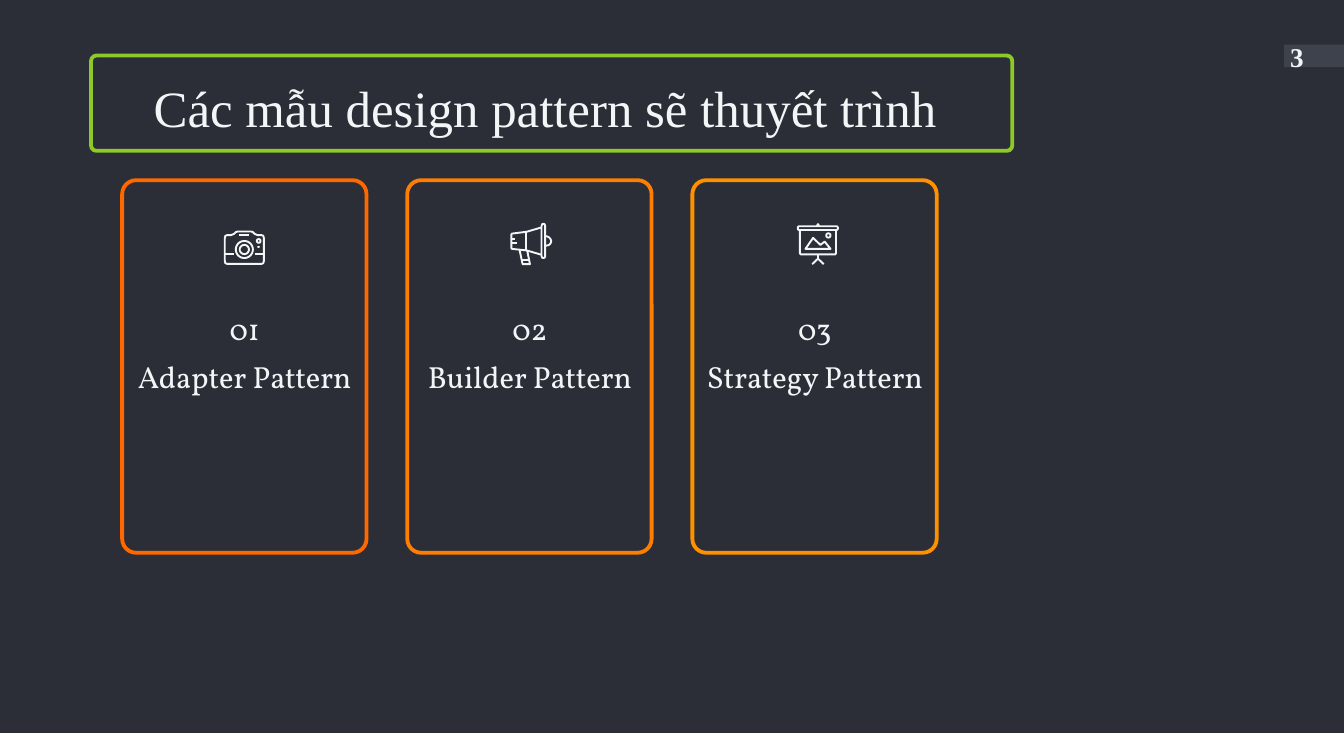
import math
import pptx
import pptx.dml.color
import pptx.enum.shapes
import pptx.enum.text
import pptx.util

SLIDE_WIDTH, SLIDE_HEIGHT = 22, 12
BACKGROUND, TAG_FILL, LIGHT, GREEN = "2B2E36", "3D424D", "F2F6F7", "8DC928"
SERIF, BODY = "Times New Roman", "Vollkorn"

TITLE = "Các mẫu design pattern sẽ thuyết trình"
PAGE_NUMBER = "3"


def circle(center_x, center_y, radius, steps=32):
    """Closed contour approximating a circle."""
    angles = [2 * math.pi * step / steps for step in range(steps)]
    return True, [(center_x + radius * math.cos(angle),
                   center_y + radius * math.sin(angle)) for angle in angles]


# Icon contours: (closed, points), in hundredths of an inch from the icon corner.
CAMERA = [
    (True, [(2, 25), (3, 21), (6, 20), (12, 20), (17, 18), (20, 15), (23, 14),
            (45, 14), (48, 15), (51, 18), (56, 20), (62, 20), (65, 21), (66, 25),
            (66, 62), (65, 66), (62, 67), (6, 67), (3, 66), (2, 62)]),
    (False, [(26, 20), (42, 20)]),
    (False, [(2, 51.5), (17, 51.5)]),
    (False, [(51, 51.5), (66, 51.5)]),
    circle(34, 43.5, 14),
    circle(34, 43.5, 7.5),
    circle(57.5, 29.5, 3),
    circle(57.5, 39, 0.4),
]
MEGAPHONE = [
    (True, [(51.5, 5), (52.5, 2), (54.5, 1.5), (56.5, 2), (57.5, 5),
            (57.5, 54), (56.5, 57), (54.5, 57.5), (52.5, 57), (51.5, 54)]),
    (False, [(51, 7.5), (27, 14.5), (3, 17.5), (2, 19), (2, 41),
             (3, 42.5), (27, 45), (51, 52)]),
    (False, [(26.5, 14.5), (26.5, 45)]),
    (False, [(2, 26.5), (8, 26.5)]),
    (False, [(2, 32.5), (12, 32.5)]),
    (False, [(15.5, 44), (20.5, 67.5), (32.5, 67.5), (28, 45)]),
    (False, [(19, 60.5), (31, 60.5)]),
    (False, [(58, 21.5), (63, 23), (66, 26), (67.5, 30), (66, 34), (63, 36.5), (58, 37.5)]),
]
BOARD = [
    (True, [(3.5, 5.5), (66, 5.5), (67.5, 7), (67.5, 10), (66, 11.5),
            (3.5, 11.5), (2, 10), (2, 7)]),
    (False, [(5.5, 11.5), (5.5, 50), (7, 51.5), (63, 51.5), (64.5, 50), (64.5, 11.5)]),
    (False, [(33, 5), (35, 2), (37, 5)]),
    (False, [(35, 51.5), (35, 58.5)]),
    (False, [(25.5, 67.5), (35, 58.5), (44.5, 67.5)]),
    (True, [(14.5, 42.5), (27, 24.5), (39, 36), (46, 30.5), (55.5, 42.5)]),
    circle(52, 20.5, 3.5),
]

CARDS = [
    ("01", "Adapter Pattern", "FF6800", CAMERA),
    ("02", "Builder Pattern", "FF7D00", MEGAPHONE),
    ("03", "Strategy Pattern", "FF9100", BOARD),
]
CARD_LEFT, CARD_TOP, CARD_WIDTH, CARD_HEIGHT = 2, 2.95, 4, 6.1
CARD_PITCH = CARD_WIDTH + 2 / 3
ICON_LEFT, ICON_TOP, ICON_PITCH = 3.66, 3.65, 4.69
CORNER = 0.057


def color(hex_value):
    return pptx.dml.color.RGBColor.from_string(hex_value)


def inches(*lengths):
    return [pptx.util.Inches(length) for length in lengths]


def outline(shape, hex_value, points):
    shape.fill.background()
    shape.line.color.rgb = color(hex_value)
    shape.line.width = pptx.util.Pt(points)
    shape.shadow.inherit = False


def add_frame(slide, box, hex_value):
    frame = slide.shapes.add_shape(
        pptx.enum.shapes.MSO_SHAPE.ROUNDED_RECTANGLE, *inches(*box))
    frame.adjustments[0] = CORNER
    outline(frame, hex_value, 4.5)


def add_text(slide, box, text, font, size, centered=True, bold=False):
    text_frame = slide.shapes.add_textbox(*inches(*box)).text_frame
    text_frame.word_wrap = True
    text_frame.text = text
    if not centered:
        text_frame.vertical_anchor = pptx.enum.text.MSO_ANCHOR.MIDDLE
    for paragraph in text_frame.paragraphs:
        if centered:
            paragraph.alignment = pptx.enum.text.PP_ALIGN.CENTER
            paragraph.line_spacing = 1.3
        for run in paragraph.runs:
            run.font.name = font
            run.font.size = pptx.util.Pt(size)
            run.font.bold = bold
            run.font.color.rgb = color(LIGHT)


def add_icon(slide, left, top, contours):
    """Draw all contours as one unfilled freeform, on a grid of 1/1000 inch."""
    builder = None
    for closed, points in contours:
        start, *rest = [(x * 10, y * 10) for x, y in points]
        if builder is None:
            builder = slide.shapes.build_freeform(*start, scale=914.4)
        else:
            builder.move_to(*start)
        builder.add_line_segments(rest, close=closed)
    outline(builder.convert_to_shape(*inches(left, top)), LIGHT, 2.25)


def main():
    presentation = pptx.Presentation()
    presentation.slide_width, presentation.slide_height = inches(SLIDE_WIDTH, SLIDE_HEIGHT)
    slide = presentation.slides.add_slide(presentation.slide_layouts[6])
    slide.background.fill.solid()
    slide.background.fill.fore_color.rgb = color(BACKGROUND)

    tag_left, tag_width = SLIDE_WIDTH - 0.98, 0.98
    tag = slide.shapes.add_shape(
        pptx.enum.shapes.MSO_SHAPE.RECTANGLE, *inches(tag_left, 0.73, tag_width, 0.37))
    tag.fill.solid()
    tag.fill.fore_color.rgb = color(TAG_FILL)
    tag.line.fill.background()
    tag.shadow.inherit = False

    for index, (number, name, accent, icon) in enumerate(CARDS):
        left = CARD_LEFT + index * CARD_PITCH
        add_text(slide, (left + 0.03, 4.85, 3.95, 1.68), f"{number}\n{name}", BODY, 36)
        add_frame(slide, (left, CARD_TOP, CARD_WIDTH, CARD_HEIGHT), accent)
        add_icon(slide, ICON_LEFT + index * ICON_PITCH, ICON_TOP, icon)

    add_text(slide, (2.03, 0.91, 13.79, 1.41), TITLE, SERIF, 60)
    add_frame(slide, (1.49, 0.91, 15.08, 1.56), GREEN)
    add_text(slide, (tag_left, 0.6, tag_width, 0.64), PAGE_NUMBER, SERIF, 32,
             centered=False, bold=True)
    presentation.save("out.pptx")


if __name__ == "__main__":
    main()
